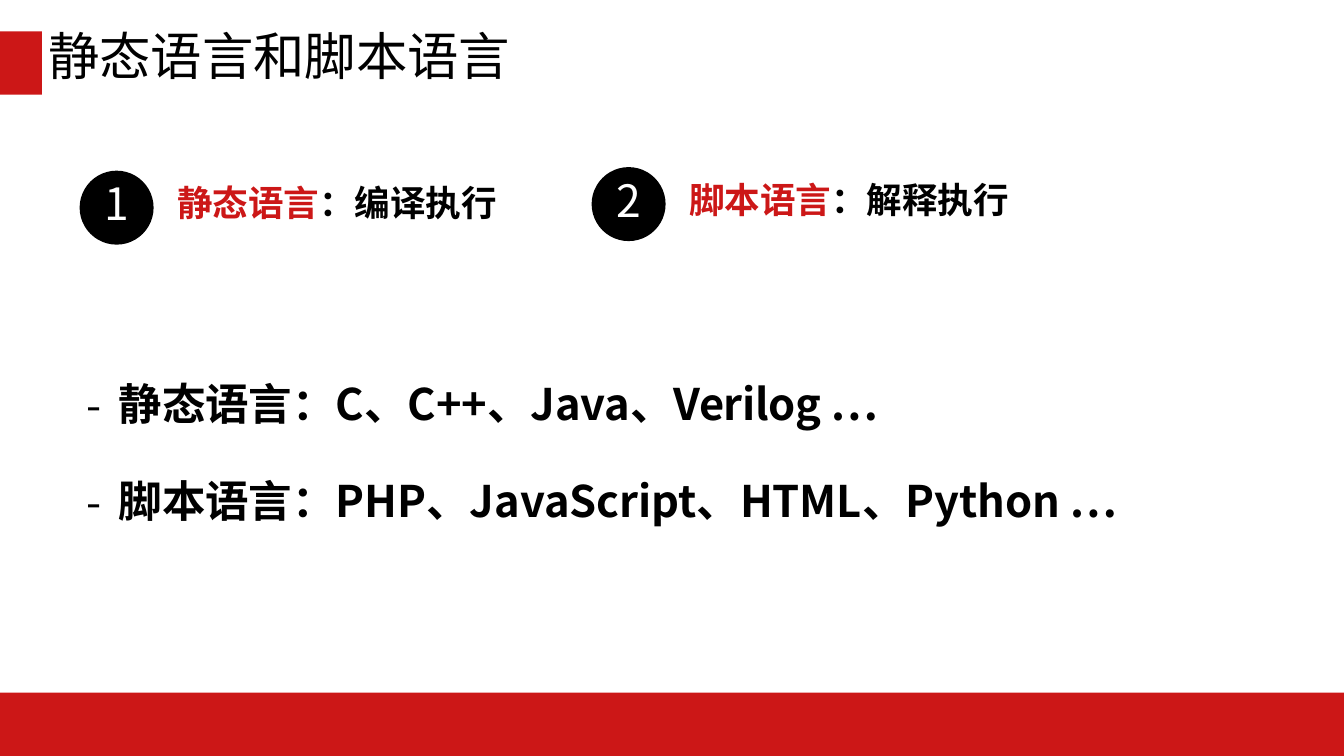
from dataclasses import dataclass

from lxml import etree
from pptx import Presentation
from pptx.dml.color import RGBColor
from pptx.enum.shapes import MSO_SHAPE
from pptx.enum.text import MSO_ANCHOR, MSO_AUTO_SIZE, PP_ALIGN
from pptx.oxml.ns import qn
from pptx.util import Inches, Pt

RECTANGLE, OVAL = MSO_SHAPE.RECTANGLE, MSO_SHAPE.OVAL
TOP, MIDDLE = MSO_ANCHOR.TOP, MSO_ANCHOR.MIDDLE
LEFT, CENTER = PP_ALIGN.LEFT, PP_ALIGN.CENTER
NO_AUTOFIT = MSO_AUTO_SIZE.NONE
TITLE_ONLY = 5


@dataclass(frozen=True)
class Theme:
    font: str = "Noto Sans CJK SC"
    red: RGBColor = RGBColor(0xCC, 0x17, 0x17)
    black: RGBColor = RGBColor(0, 0, 0)
    white: RGBColor = RGBColor(255, 255, 255)
    title_size: float = 52
    number_size: float = 45
    list_size: float = 44
    heading_size: float = 36
    line_spacing: float = 0.83
    list_gap: float = 54.5


THEME = Theme()


@dataclass(frozen=True)
class TextRun:
    text: str
    size: float
    color: RGBColor = THEME.black
    bold: bool = False
    spacing: float = 0


@dataclass(frozen=True)
class Topic:
    number: str
    name: str
    execution: str
    left: float
    top: float


TOPICS = [
    Topic("1", "静态语言", "：编译执行", 1.12, 2.4),
    Topic("2", "脚本语言", "：解释执行", 8.32, 2.35),
]

# Each list item is a row of (text, letter spacing)
LANGUAGE_LISTS = [
    [("静态语言：C、C++、", -0.1), ("Java", -0.3), ("、", -0.1),
     ("Verilog ", -0.5), ("…", -0.1)],
    [("脚本语言：PHP、JavaScript、HTML、Python …", -0.1)],
]


def add_runs(paragraph, runs: list[TextRun], alignment=LEFT) -> None:
    paragraph.alignment = alignment
    paragraph.line_spacing = THEME.line_spacing
    paragraph.space_before = Pt(0)
    for text_run in runs:
        run = paragraph.add_run()
        run.text = text_run.text
        run.font.name = THEME.font
        run.font.size = Pt(text_run.size)
        run.font.bold = text_run.bold
        run.font.color.rgb = text_run.color
        properties = run.font._element
        etree.SubElement(properties, qn("a:ea")).set("typeface", THEME.font)
        if text_run.spacing:
            properties.set("spc", str(round(text_run.spacing * 100)))


def format_frame(frame, inset_top: float = 0, anchor=TOP) -> None:
    frame.word_wrap = True
    frame.auto_size = NO_AUTOFIT
    frame.vertical_anchor = anchor
    frame.margin_left = frame.margin_right = frame.margin_bottom = 0
    frame.margin_top = Inches(inset_top)


def add_filled_shape(slide, kind, left: float, top: float,
                     width: float, height: float, color: RGBColor):
    shape = slide.shapes.add_shape(
        kind, Inches(left), Inches(top), Inches(width), Inches(height))
    shape.shadow.inherit = False
    shape.fill.solid()
    shape.fill.fore_color.rgb = color
    shape.line.fill.background()
    return shape


def add_text_box(slide, left: float, top: float, width: float,
                 height: float, inset_top: float):
    box = slide.shapes.add_textbox(
        Inches(left), Inches(top), Inches(width), Inches(height))
    format_frame(box.text_frame, inset_top)
    return box.text_frame


def add_dash(paragraph) -> None:
    properties = paragraph._p.get_or_add_pPr()
    properties.set("marL", str(Inches(0.46)))
    properties.set("indent", str(Inches(-0.45)))
    etree.SubElement(properties, qn("a:buFont")).set("typeface", THEME.font)
    etree.SubElement(properties, qn("a:buChar")).set("char", "-")


def add_title(slide, text: str) -> None:
    title = slide.shapes.title
    title.left, title.top = Inches(0.68), Inches(0.4)
    title.width, title.height = Inches(6.53), Inches(0.9)
    format_frame(title.text_frame, 0.08)
    add_runs(title.text_frame.paragraphs[0], [TextRun(text, THEME.title_size)])


def add_topic(slide, topic: Topic) -> None:
    circle = add_filled_shape(
        slide, OVAL, topic.left, topic.top, 1.04, 1.04, THEME.black)
    format_frame(circle.text_frame, anchor=MIDDLE)
    add_runs(circle.text_frame.paragraphs[0],
             [TextRun(topic.number, THEME.number_size, THEME.white)], CENTER)
    heading = add_text_box(
        slide, topic.left + 1.37, topic.top + 0.19, 4.53, 0.63, 0.06)
    add_runs(heading.paragraphs[0], [
        TextRun(topic.name, THEME.heading_size, THEME.red, True),
        TextRun(topic.execution, THEME.heading_size, THEME.black, True),
    ])


def add_language_lists(slide) -> None:
    frame = add_text_box(slide, 1.21, 5.35, 14.6, 2.98, 0.07)
    for index, items in enumerate(LANGUAGE_LISTS):
        paragraph = frame.add_paragraph() if index else frame.paragraphs[0]
        add_runs(paragraph, [
            TextRun(text, THEME.list_size, bold=True, spacing=spacing)
            for text, spacing in items
        ])
        if index:
            paragraph.space_before = Pt(THEME.list_gap)
        add_dash(paragraph)


def main() -> None:
    presentation = Presentation()
    presentation.slide_width = Inches(18.9)
    presentation.slide_height = Inches(10.63)
    slide = presentation.slides.add_slide(presentation.slide_layouts[TITLE_ONLY])

    # Footer band and title marker
    add_filled_shape(slide, RECTANGLE, 0, 9.74, 18.9, 0.89, THEME.red)
    add_filled_shape(slide, RECTANGLE, 0, 0.44, 0.59, 0.89, THEME.red)

    # Title, numbered topics and examples
    add_title(slide, "静态语言和脚本语言")
    for topic in TOPICS:
        add_topic(slide, topic)
    add_language_lists(slide)

    presentation.save("out.pptx")


if __name__ == "__main__":
    main()
